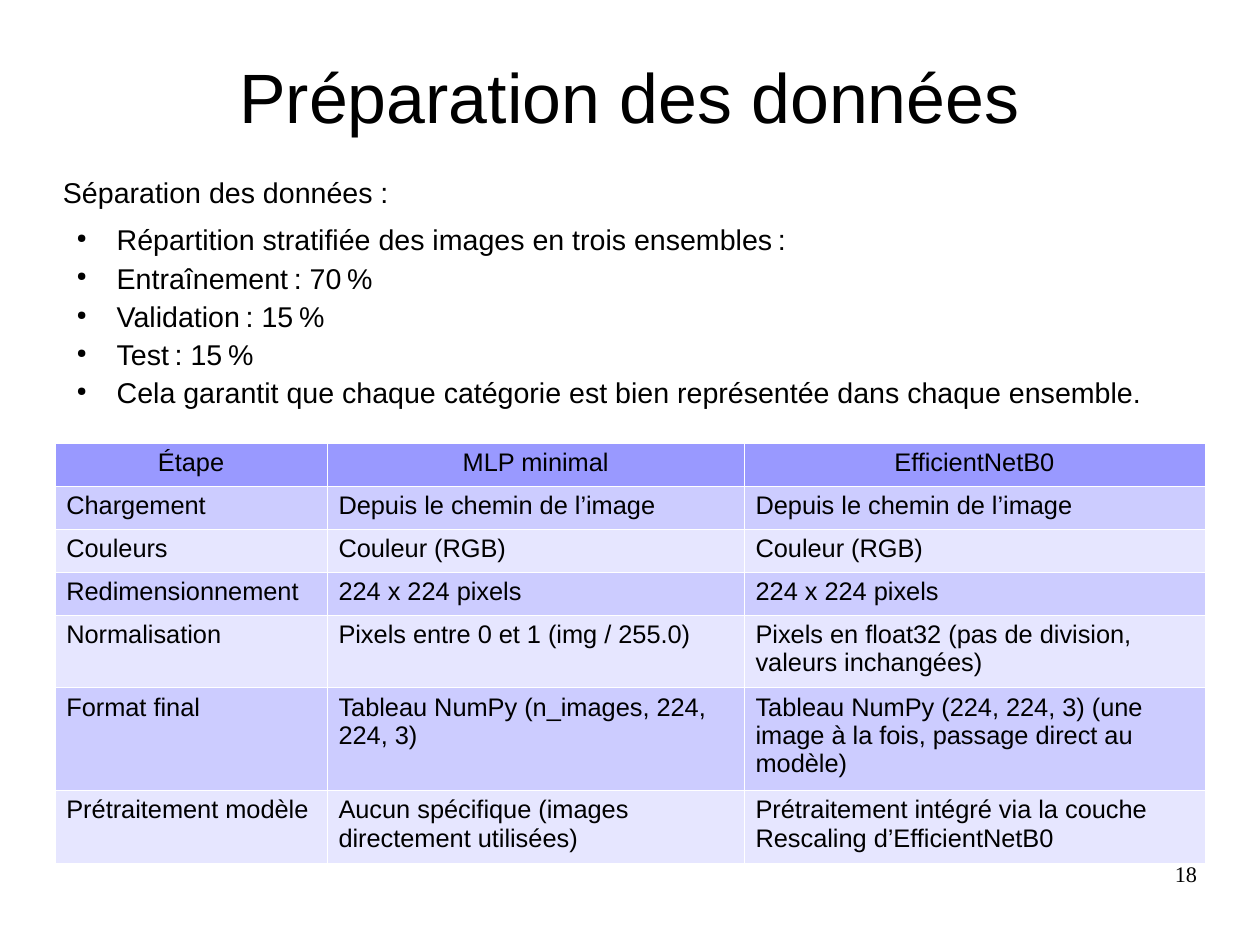
from dataclasses import dataclass

from lxml import etree
from pptx import Presentation
from pptx.dml.color import RGBColor
from pptx.enum.text import MSO_ANCHOR, PP_ALIGN
from pptx.oxml.ns import qn
from pptx.util import Cm, Inches, Pt

LEFT, CENTER, RIGHT = PP_ALIGN.LEFT, PP_ALIGN.CENTER, PP_ALIGN.RIGHT
MIDDLE, TOP = MSO_ANCHOR.MIDDLE, MSO_ANCHOR.TOP
TITLE_ONLY = 5
WIDTH, HEIGHT = Cm(28), Cm(21)
THIN = chr(8239)  # narrow no-break space of French typography


@dataclass(frozen=True)
class Theme:
    sans: str = "Arial"
    serif: str = "Times New Roman"
    ink: str = "000000"
    border: str = "FFFFFF"
    header: str = "9999FF"
    bands: tuple = ("CCCCFF", "E6E6FF")
    title_size: int = 44
    body_size: int = 18
    table_size: int = 16
    number_size: int = 14


THEME = Theme()

INTRO = "Séparation des données :"
BULLETS = [
    f"Répartition stratifiée des images en trois ensembles{THIN}:",
    f"Entraînement{THIN}: 70{THIN}%",
    f"Validation{THIN}: 15{THIN}%",
    f"Test{THIN}: 15{THIN}%",
    "Cela garantit que chaque catégorie est bien représentée dans chaque ensemble.",
]
STEPS = [
    ("Étape", "MLP minimal", "EfficientNetB0"),
    ("Chargement", "Depuis le chemin de l’image", "Depuis le chemin de l’image"),
    ("Couleurs", "Couleur (RGB)", "Couleur (RGB)"),
    ("Redimensionnement", "224 x 224 pixels", "224 x 224 pixels"),
    ("Normalisation", "Pixels entre 0 et 1 (img / 255.0)",
     "Pixels en float32 (pas de division, valeurs inchangées)"),
    ("Format final", "Tableau NumPy (n_images, 224, 224, 3)",
     "Tableau NumPy (224, 224, 3) (une image à la fois, passage direct au modèle)"),
    ("Prétraitement modèle", "Aucun spécifique (images directement utilisées)",
     "Prétraitement intégré via la couche Rescaling d’EfficientNetB0"),
]
COLUMN_SHARES = [21.6, 33.1, 36.55]
ROW_SHARES = [4.55, 4.55, 4.55, 4.55, 7.26, 10.28, 7.26]


def across(percent):
    return round(WIDTH * percent / 100)


def down(percent):
    return round(HEIGHT * percent / 100)


def area(left, top, width, height):
    """Turn percentages of the slide into a position and a size."""
    return across(left), down(top), across(width), down(height)


def style(para, size, face=THEME.sans, align=LEFT):
    para.alignment = align
    para.font.size = Pt(size)
    para.font.name = face
    para.font.bold = False
    para.font.color.rgb = RGBColor.from_string(THEME.ink)


def prepare_frame(frame, anchor=TOP):
    frame.word_wrap = True
    frame.vertical_anchor = anchor
    frame.margin_left = frame.margin_right = 0
    frame.margin_top = frame.margin_bottom = 0


def add_bullet(para):
    properties = para._p.get_or_add_pPr()
    properties.set("marL", str(Inches(0.47)))
    properties.set("indent", str(Inches(-0.35)))
    color = etree.SubElement(properties, qn("a:buClr"))
    etree.SubElement(color, qn("a:srgbClr"), val=THEME.ink)
    etree.SubElement(properties, qn("a:buSzPct"), val="45000")
    etree.SubElement(properties, qn("a:buChar"), char="●")


def add_title(slide, text):
    title = slide.shapes.title
    title.left, title.top, title.width, title.height = area(5, 4, 90, 12.33)
    prepare_frame(title.text_frame, MIDDLE)
    title.text_frame.text = text
    style(title.text_frame.paragraphs[0], THEME.title_size, align=CENTER)


def add_split_list(slide):
    frame = slide.shapes.add_textbox(*area(5, 18.5, 90, 24.8)).text_frame
    prepare_frame(frame)
    intro = frame.paragraphs[0]
    intro.text = INTRO
    intro.space_after = Pt(8.4)
    style(intro, THEME.body_size)
    for text in BULLETS:
        para = frame.add_paragraph()
        para.text = text
        para.space_after = Pt(2.5)
        add_bullet(para)
        style(para, THEME.body_size)


def add_borders(cell):
    properties = cell._tc.get_or_add_tcPr()
    for side in ("lnL", "lnR", "lnT", "lnB"):
        line = etree.SubElement(properties, qn(f"a:{side}"), w=str(Pt(0.06)))
        fill = etree.SubElement(line, qn("a:solidFill"))
        etree.SubElement(fill, qn("a:srgbClr"), val=THEME.border)


def fill_cell(cell, text, color, align):
    add_borders(cell)
    cell.fill.solid()
    cell.fill.fore_color.rgb = RGBColor.from_string(color)
    cell.margin_left = cell.margin_right = Inches(0.1)
    cell.margin_top = cell.margin_bottom = Inches(0.05)
    cell.text = text
    style(cell.text_frame.paragraphs[0], THEME.table_size, align=align)


def add_steps_table(slide):
    place = area(4.36, 46.9, sum(COLUMN_SHARES), sum(ROW_SHARES))
    table = slide.shapes.add_table(len(STEPS), len(COLUMN_SHARES), *place).table
    for column, share in zip(table.columns, COLUMN_SHARES):
        column.width = across(share)
    for index, (row, share) in enumerate(zip(table.rows, ROW_SHARES)):
        row.height = down(share)
        color = THEME.bands[(index - 1) % 2] if index else THEME.header
        for cell, text in zip(row.cells, STEPS[index]):
            fill_cell(cell, text, color, LEFT if index else CENTER)


def add_page_number(slide, number):
    frame = slide.shapes.add_textbox(*area(71.69, 91.05, 23.32, 6.9)).text_frame
    prepare_frame(frame)
    frame.text = number
    style(frame.paragraphs[0], THEME.number_size, THEME.serif, RIGHT)


def main():
    deck = Presentation()
    deck.slide_width, deck.slide_height = WIDTH, HEIGHT
    slide = deck.slides.add_slide(deck.slide_layouts[TITLE_ONLY])
    add_title(slide, "Préparation des données")
    add_split_list(slide)
    add_steps_table(slide)
    add_page_number(slide, "18")
    deck.save("out.pptx")


if __name__ == "__main__":
    main()
